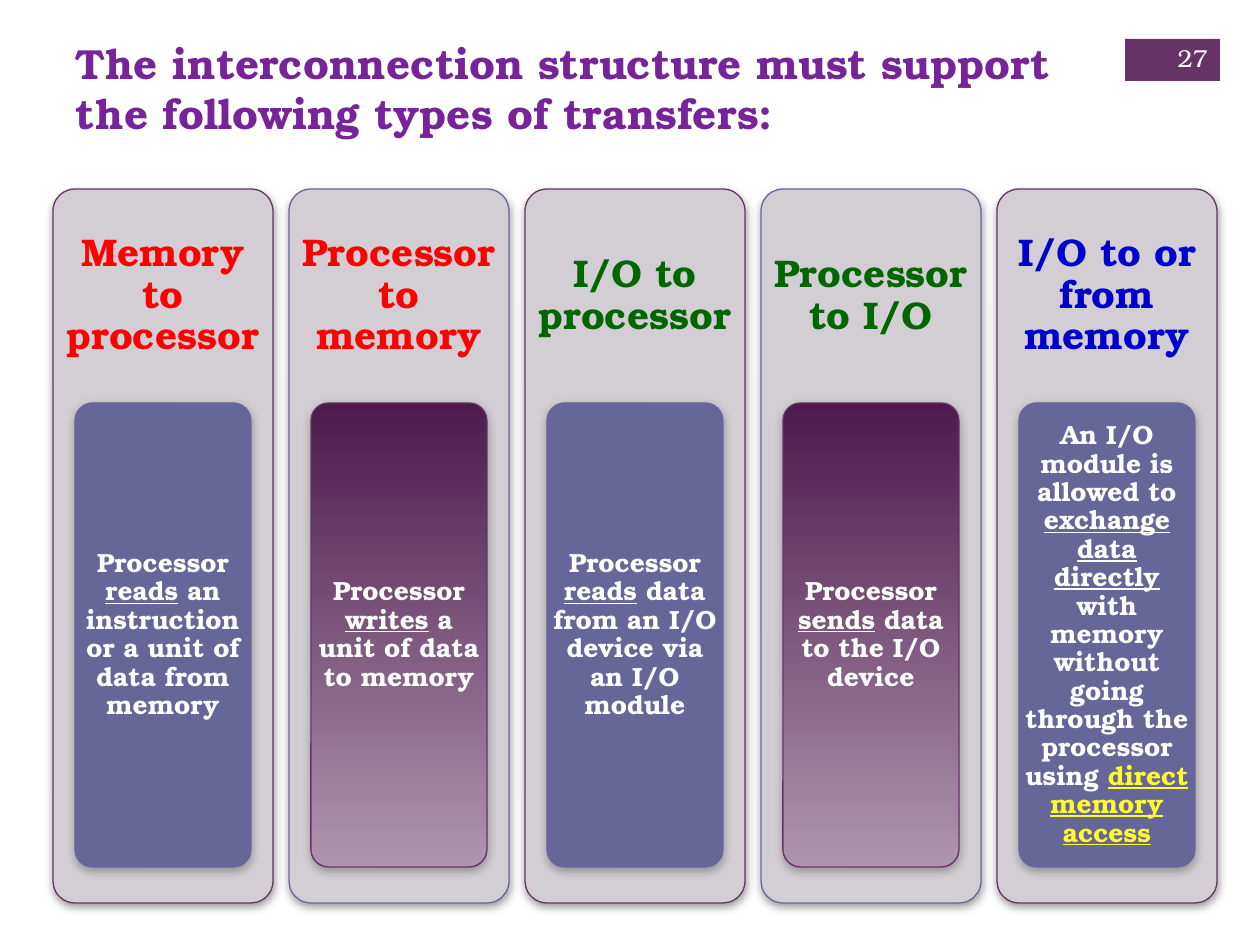
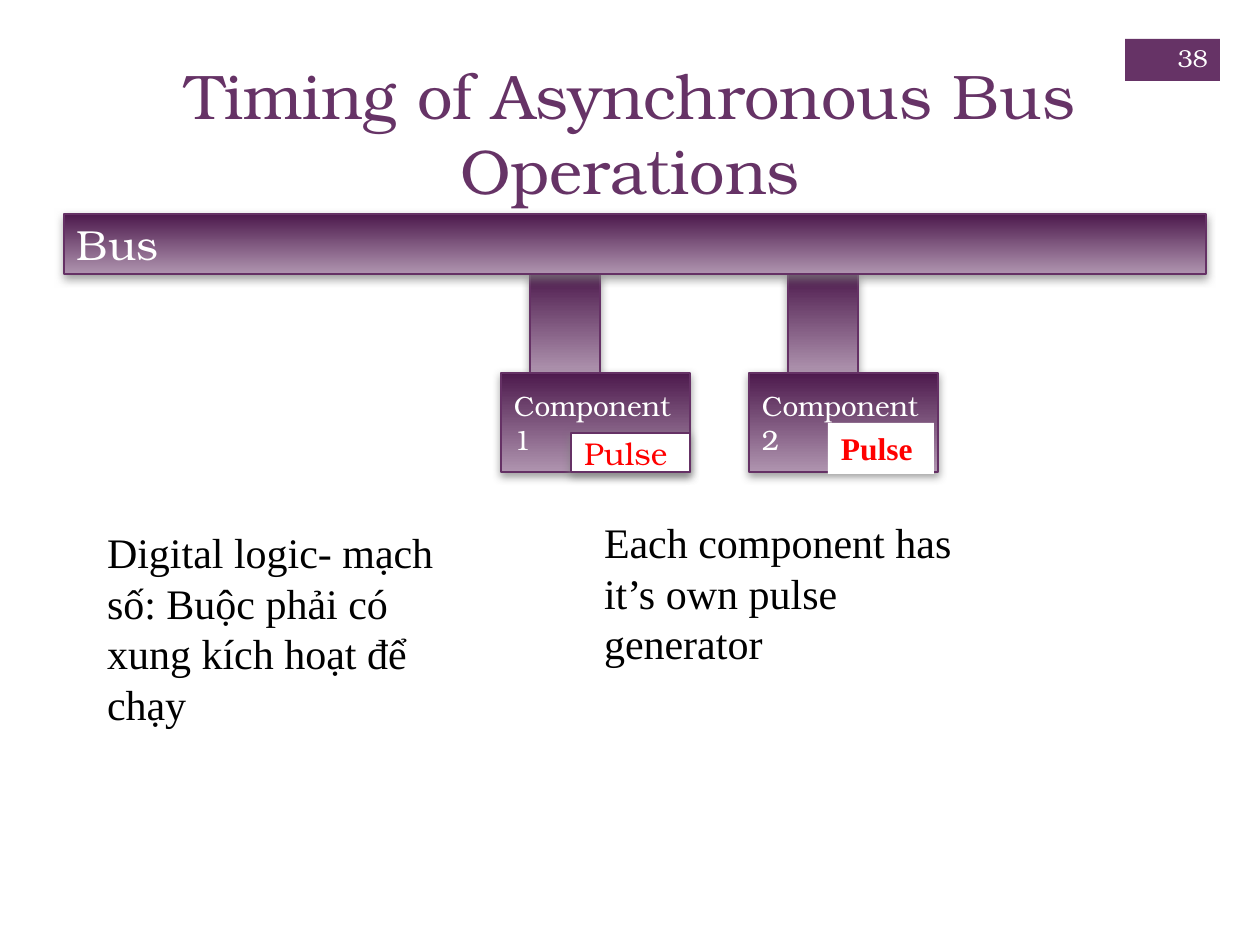
from lxml.etree import SubElement
from pptx import Presentation
from pptx.dml.color import RGBColor as Rgb
from pptx.enum.shapes import MSO_SHAPE as Preset
from pptx.enum.text import MSO_ANCHOR as Anchor, MSO_AUTO_SIZE as AutoSize, PP_ALIGN as Align
from pptx.oxml.ns import qn
from pptx.util import Pt

PX = 914400 / 126
SERIF = "TeX Gyre Bonum"
TIMES = "Times New Roman"
COLORS = {
    "plum": "663366", "slate": "666699", "card": "D3CED3", "edge": "653165",
    "dark": "4D1A4D", "pale": "AF94AF", "shadow": "808080", "violet": "772399",
    "white": "FFFFFF", "black": "000000", "red": "FF0000", "green": "006600",
    "blue": "0000CC", "yellow": "FEFB31",
}
GRADIENT = ("dark", "pale")


def emu(*lengths):
    return [round(length * PX) for length in lengths]


def color(name):
    return Rgb.from_string(COLORS[name])


class SlideBuilder:
    def __init__(self):
        self.deck = Presentation()
        self.deck.slide_width, self.deck.slide_height = emu(1260, 945)
        self.page = None

    def new_page(self, number):
        self.page = self.deck.slides.add_slide(self.deck.slide_layouts[5])
        self.shape((1125, 39, 95, 42), "plum", shadow=False)
        self.textbox((1144, 33, 77, 50), str(number), 14, "white",
                     align=Align.RIGHT, anchor=Anchor.MIDDLE)

    def set_text(self, shape, content, size, ink, font=SERIF, bold=False,
                 align=Align.LEFT, anchor=Anchor.TOP, margins=(13, 6), spacing=None):
        """Fill a shape with a string or a list of (text, underlined, colour) spans."""
        frame = shape.text_frame
        frame.word_wrap = True
        frame.auto_size = AutoSize.NONE
        frame.vertical_anchor = anchor
        side, end = emu(*margins)
        frame.margin_left = frame.margin_right = side
        frame.margin_top = frame.margin_bottom = end
        para = frame.paragraphs[0]
        para.alignment = align
        if spacing:
            para.line_spacing = spacing
        if isinstance(content, str):
            content = [(content, False, ink)]
        for text, underlined, span_ink in content:
            span = para.add_run()
            span.text = text
            span.font.name = font
            span.font.size = Pt(size)
            span.font.bold = bold
            span.font.underline = underlined
            span.font.color.rgb = color(span_ink)

    def title(self, place, text, size, ink, **style):
        title = self.page.shapes.title
        title.left, title.top, title.width, title.height = emu(*place)
        self.set_text(title, text, size, ink, **style)

    def textbox(self, place, content, size, ink, **style):
        box = self.page.shapes.add_textbox(*emu(*place))
        self.set_text(box, content, size, ink, **style)

    def shape(self, place, fill, line=None, width=1, preset=Preset.RECTANGLE, shadow=True):
        """Add a preset shape; fill is a colour name or a (top, bottom) pair."""
        shape = self.page.shapes.add_shape(preset, *emu(*place))
        if preset == Preset.ROUNDED_RECTANGLE:
            shape.adjustments[0] = 0.1
        if isinstance(fill, tuple):
            shape.fill.gradient()
            shape.fill.gradient_angle = 270
            for stop, name in zip(shape.fill.gradient_stops, fill):
                stop.color.rgb = color(name)
        else:
            shape.fill.solid()
            shape.fill.fore_color.rgb = color(fill)
        if line:
            shape.line.color.rgb = color(line)
            shape.line.width = Pt(width)
        else:
            shape.line.fill.background()
        shape.shadow.inherit = False
        if shadow:
            self.drop_shadow(shape)
        return shape

    def drop_shadow(self, shape):
        effects = shape._element.spPr.find(qn("a:effectLst"))
        outer = SubElement(effects, qn("a:outerShdw"), blurRad=str(Pt(5)),
                           dist=str(Pt(2)), dir="5400000", rotWithShape="0")
        tint = SubElement(outer, qn("a:srgbClr"), val=COLORS["shadow"])
        SubElement(tint, qn("a:alpha"), val="75000")

    def bus_part(self, place, text=None, size=16, ink="white", fill=GRADIENT):
        part = self.shape(place, fill, "edge")
        if text:
            self.set_text(part, text, size, ink, anchor=Anchor.MIDDLE)

    def transfer_card(self, left, heading, ink, spans, shaded):
        """Add one column: a heading above a panel that describes the transfer."""
        card_line, panel_fill, panel_line = (
            ("slate", GRADIENT, "plum") if shaded else ("plum", "slate", "slate"))
        centred = dict(bold=True, align=Align.CENTER, anchor=Anchor.MIDDLE, spacing=0.9)
        rounded = dict(width=0.75, preset=Preset.ROUNDED_RECTANGLE)
        self.shape((left, 189, 220, 714), "card", card_line, **rounded)
        self.textbox((left, 189, 220, 214), heading, 22, ink, margins=(11, 11), **centred)
        panel = self.shape((left + 22, 403, 176, 464), panel_fill, panel_line, **rounded)
        self.set_text(panel, spans, 15, "white", margins=(0, 0), **centred)


def processor_spans(verb, rest):
    return [("Processor ", False, "white"), (verb, True, "white"), (rest, False, "white")]


TRANSFERS = [
    ("Memory to processor", "red",
     processor_spans("reads", " an instruction or a unit of data from memory")),
    ("Processor to memory", "red",
     processor_spans("writes", " a unit of data to memory")),
    ("I/O to processor", "green",
     processor_spans("reads", " data from an I/O device via an I/O module")),
    ("Processor to I/O", "green",
     processor_spans("sends", " data to the I/O device")),
    ("I/O to or from memory", "blue", [
        ("An I/O module is allowed to ", False, "white"),
        ("exchange data directly ", True, "white"),
        ("with memory without going through the processor using ", False, "white"),
        ("direct memory access", True, "yellow")]),
]


def transfers_page(builder):
    builder.new_page(27)
    builder.title((63, 31, 1041, 154),
                  "The interconnection structure must support the following types of transfers:",
                  24, "violet", bold=True)
    for index, (heading, ink, spans) in enumerate(TRANSFERS):
        builder.transfer_card(53 + 236 * index, heading, ink, spans, shaded=index % 2 == 1)


def bus_timing_page(builder):
    builder.new_page(38)
    builder.title((0, 50, 1260, 105), "Timing of Asynchronous Bus Operations",
                  36, "plum", align=Align.CENTER)
    for left in (788, 530):
        builder.bus_part((left, 274, 70, 99))
    builder.bus_part((64, 214, 1142, 60), "Bus", 24)
    for left, name in ((501, "Component 1"), (749, "Component 2")):
        builder.bus_part((left, 373, 189, 99), name)
    builder.bus_part((571, 433, 119, 39), "Pulse", 18, "red", fill="white")
    pulse = builder.shape((828, 423, 106, 51), "white", shadow=False)
    builder.set_text(pulse, "Pulse", 18, "red", font=TIMES, bold=True)
    builder.textbox((591, 511, 382, 165), "Each component has it’s own pulse generator",
                    24, "black", font=TIMES)
    builder.textbox((94, 521, 382, 217),
                    "Digital logic- mạch số: Buộc phải có xung kích hoạt để chạy",
                    24, "black", font=TIMES)


def main():
    builder = SlideBuilder()
    transfers_page(builder)
    bus_timing_page(builder)
    builder.deck.save("out.pptx")


if __name__ == "__main__":
    main()
